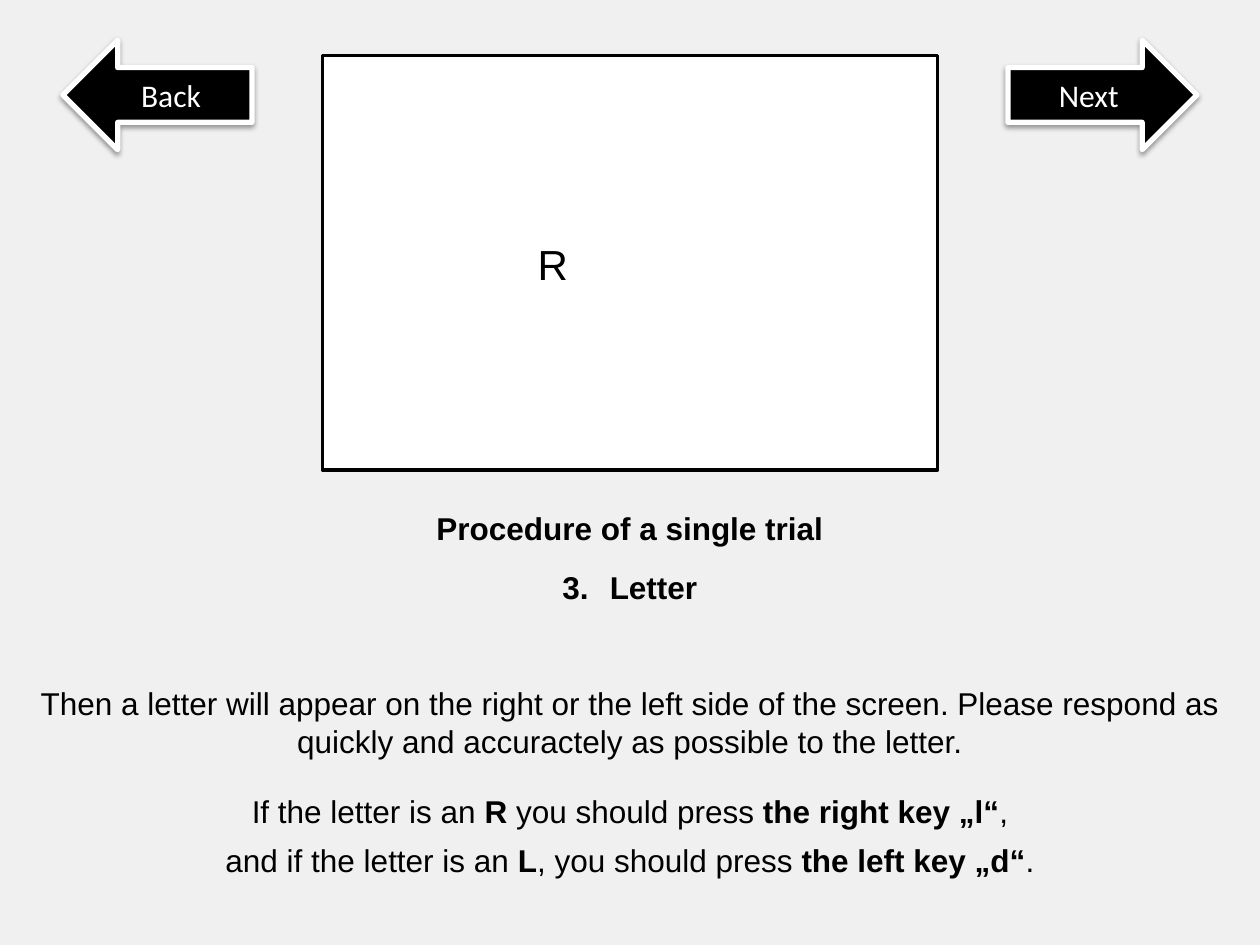
from lxml.etree import SubElement
from pptx import Presentation
from pptx.dml.color import RGBColor
from pptx.enum.shapes import MSO_SHAPE
from pptx.enum.text import MSO_ANCHOR, PP_ALIGN
from pptx.oxml.ns import qn
from pptx.util import Pt

WIDTH, HEIGHT = 720, 540
BLACK, WHITE, GREY = "000000", "FFFFFF", "F0F0F0"

# Each paragraph: its (text, bold) spans and its spacing; "number" starts a numbered item.
INSTRUCTIONS = [
    {"spans": [("Procedure of a single trial", True)], "space_after": 12},
    {"spans": [("Letter", True)], "space_after": 12, "number": 3},
    {"spans": [("Then a letter will appear on the right or the left side of the "
                "screen. Please respond as quickly and accuractely as possible "
                "to the letter.", False)],
     "space_before": 33, "space_after": 12},
    {"spans": [("If the letter is an ", False), ("R", True),
               (" you should press ", False), ("the right key „l“", True),
               (",", False)],
     "space_before": 6, "line_spacing": 22},
    {"spans": [("and if the letter is an ", False), ("L", True),
               (", you should press ", False), ("the left key „d“", True),
               (".", False)],
     "space_before": 6, "line_spacing": 22},
]
BODY_AREA = (8.6, 287.3, 702.7, 245.5)
SCREEN_AREA = (184.3, 31.7, 351.4, 236.9)
LETTER_AREA = (300.2, 132.5, 118.8, 36)
ARROW_MARGIN, ARROW_TOP, ARROW_WIDTH, ARROW_HEIGHT = 36, 23, 108, 62.6


def color(value):
    """Turn a hex string into a colour."""
    return RGBColor.from_string(value)


def points(*values):
    """Turn numbers into point lengths."""
    return [Pt(value) for value in values]


def add_span(para, text, size=18, font="Arial", ink=BLACK, bold=False):
    """Add one formatted run of text."""
    span = para.add_run()
    span.text = text
    for name, value in {"size": Pt(size), "name": font, "bold": bold}.items():
        setattr(span.font, name, value)
    span.font.color.rgb = color(ink)


def paint(shape, fill, line, width):
    """Set the fill and outline of a shape and drop its theme shadow."""
    shape.shadow.inherit = False
    shape.fill.solid()
    shape.fill.fore_color.rgb = color(fill)
    shape.line.color.rgb = color(line)
    shape.line.width = Pt(width)


def set_marker(para, number=None):
    """Number the paragraph from the given value, or remove its bullet."""
    properties = para._p.get_or_add_pPr()
    indent = Pt(27) if number else 0
    properties.set("marL", str(indent))
    properties.set("indent", str(-indent))
    if number:
        SubElement(properties, qn("a:buFont"), typeface="+mj-lt")
        SubElement(properties, qn("a:buAutoNum"), type="arabicPeriod",
                   startAt=str(number))
    else:
        SubElement(properties, qn("a:buNone"))


def fill_body(body):
    """Place the body placeholder and write the instructions into it."""
    body.left, body.top, body.width, body.height = points(*BODY_AREA)
    frame = body.text_frame
    for index, item in enumerate(INSTRUCTIONS):
        para = frame.add_paragraph() if index else frame.paragraphs[0]
        para.alignment = PP_ALIGN.CENTER
        for name in ("space_before", "space_after"):
            setattr(para, name, Pt(item.get(name, 0)))
        if "line_spacing" in item:
            para.line_spacing = Pt(item["line_spacing"])
        set_marker(para, item.get("number"))
        for text, bold in item["spans"]:
            add_span(para, text, bold=bold)


def add_screen(page):
    """Draw the trial screen with its letter as one group."""
    group = page.shapes.add_group_shape()
    screen = group.shapes.add_shape(MSO_SHAPE.RECTANGLE, *points(*SCREEN_AREA))
    paint(screen, WHITE, BLACK, 2)
    box = group.shapes.add_textbox(*points(*LETTER_AREA))
    box.text_frame.word_wrap = True
    box.text_frame.vertical_anchor = MSO_ANCHOR.MIDDLE
    add_span(box.text_frame.paragraphs[0], "R", size=24)


def add_arrow(page, label, left, flipped):
    """Draw a navigation arrow with a soft shadow."""
    arrow = page.shapes.add_shape(
        MSO_SHAPE.RIGHT_ARROW, *points(left, ARROW_TOP, ARROW_WIDTH, ARROW_HEIGHT))
    paint(arrow, BLACK, WHITE, 3)
    if flipped:
        arrow._element.spPr.find(qn("a:xfrm")).set("flipH", "1")
    effects = arrow._element.spPr.find(qn("a:effectLst"))
    shadow = SubElement(effects, qn("a:outerShdw"), blurRad=str(Pt(3.1)),
                        dist=str(Pt(1.6)), dir="5400000", rotWithShape="0")
    shade = SubElement(shadow, qn("a:srgbClr"), val=BLACK)
    SubElement(shade, qn("a:alpha"), val="38000")
    arrow.text_frame.vertical_anchor = MSO_ANCHOR.MIDDLE
    para = arrow.text_frame.paragraphs[0]
    para.alignment = PP_ALIGN.CENTER
    add_span(para, label, font="Calibri", ink=WHITE)


deck = Presentation()
deck.slide_width, deck.slide_height = points(WIDTH, HEIGHT)
page = deck.slides.add_slide(deck.slide_layouts[1])
page.background.fill.solid()
page.background.fill.fore_color.rgb = color(GREY)
title = page.shapes.title._element
title.getparent().remove(title)

fill_body(page.placeholders[1])
add_screen(page)
add_arrow(page, "Back", ARROW_MARGIN, True)
add_arrow(page, "Next", WIDTH - ARROW_MARGIN - ARROW_WIDTH, False)
deck.save("out.pptx")
